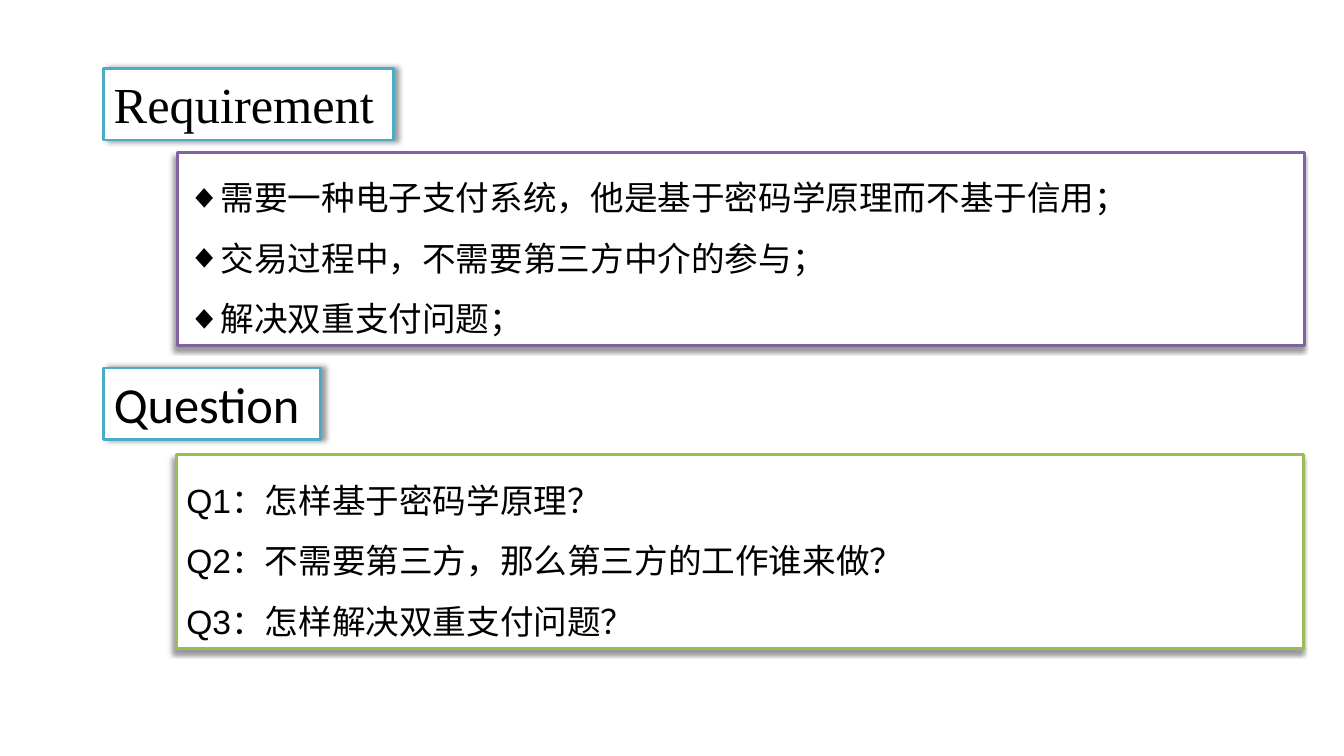
from lxml.etree import SubElement
from pptx import Presentation
from pptx.dml.color import RGBColor
from pptx.enum.lang import MSO_LANGUAGE_ID
from pptx.enum.shapes import MSO_SHAPE
from pptx.enum.text import MSO_ANCHOR, MSO_AUTO_SIZE, PP_ALIGN
from pptx.oxml.ns import qn
from pptx.util import Inches, Pt

BLACK = RGBColor(0x00, 0x00, 0x00)
WHITE = RGBColor(0xFF, 0xFF, 0xFF)
TEAL = RGBColor(0x4B, 0xAC, 0xC6)
PURPLE = RGBColor(0x80, 0x64, 0xA2)
GREEN = RGBColor(0x9B, 0xBB, 0x59)

REQUIREMENTS = [
    "需要一种电子支付系统，他是基于密码学原理而不基于信用；",
    "交易过程中，不需要第三方中介的参与；",
    "解决双重支付问题；",
]
QUESTIONS = [
    "Q1：怎样基于密码学原理？",
    "Q2：不需要第三方，那么第三方的工作谁来做？",
    "Q3：怎样解决双重支付问题？",
]


class SlideBuilder:
    heading_size = Pt(36)
    body_size = Pt(24)
    body_font = "Arial"
    bullet_indent = Inches(0.31)

    def __init__(self, slide):
        self.slide = slide

    def box(self, left, top, width, height, line_color, shadow_angle):
        shape = self.slide.shapes.add_shape(
            MSO_SHAPE.RECTANGLE, Inches(left), Inches(top), Inches(width), Inches(height))
        shape.fill.solid()
        shape.fill.fore_color.rgb = WHITE
        shape.line.color.rgb = line_color
        shape.line.width = Pt(2)
        self.shadow(shape, shadow_angle)
        text_frame = shape.text_frame
        text_frame.word_wrap = True
        text_frame.auto_size = MSO_AUTO_SIZE.SHAPE_TO_FIT_TEXT
        text_frame.vertical_anchor = MSO_ANCHOR.TOP
        return text_frame

    def shadow(self, shape, angle):
        shape.shadow.inherit = False
        effects = shape._element.spPr.find(qn("a:effectLst"))
        outer = SubElement(effects, qn("a:outerShdw"), blurRad=str(Pt(4)),
                           dist=str(Pt(3)), dir=str(angle * 60000), rotWithShape="0")
        color = SubElement(outer, qn("a:srgbClr"), val=str(BLACK))
        SubElement(color, qn("a:alpha"), val="40000")

    def format_text(self, paragraph, font_name, size):
        paragraph.alignment = PP_ALIGN.LEFT
        for run in paragraph.runs:
            run.font.name = font_name
            run.font.size = size
            run.font.color.rgb = BLACK

    def heading(self, text, top, width, font_name):
        text_frame = self.box(1.03, top, width, 0.71, TEAL, 0)
        text_frame.text = text
        self.format_text(text_frame.paragraphs[0], font_name, self.heading_size)

    def panel(self, lines, left, top, line_color, bulleted=False):
        text_frame = self.box(left, top, 11.18, 1.92, line_color, 135)
        text_frame.text = "\n".join(lines)
        for paragraph in text_frame.paragraphs:
            paragraph.line_spacing = 1.5
            self.format_text(paragraph, self.body_font, self.body_size)
            for run in paragraph.runs:
                run.font.language_id = MSO_LANGUAGE_ID.SIMPLIFIED_CHINESE
            if bulleted:
                self.bullet(paragraph)

    def bullet(self, paragraph):
        properties = paragraph._p.get_or_add_pPr()
        properties.set("marL", str(self.bullet_indent))
        properties.set("indent", str(-self.bullet_indent))
        SubElement(properties, qn("a:buFont"), typeface=self.body_font)
        SubElement(properties, qn("a:buChar"), char="◆")


def main():
    presentation = Presentation()
    presentation.slide_width = Inches(13.33)
    presentation.slide_height = Inches(7.5)
    builder = SlideBuilder(presentation.slides.add_slide(presentation.slide_layouts[6]))
    builder.heading("Requirement", 0.68, 2.87, "Times New Roman")
    builder.panel(REQUIREMENTS, 1.76, 1.51, PURPLE, bulleted=True)
    builder.heading("Question", 3.65, 2.15, "Calibri")
    builder.panel(QUESTIONS, 1.75, 4.51, GREEN)
    presentation.save("out.pptx")


if __name__ == "__main__":
    main()
